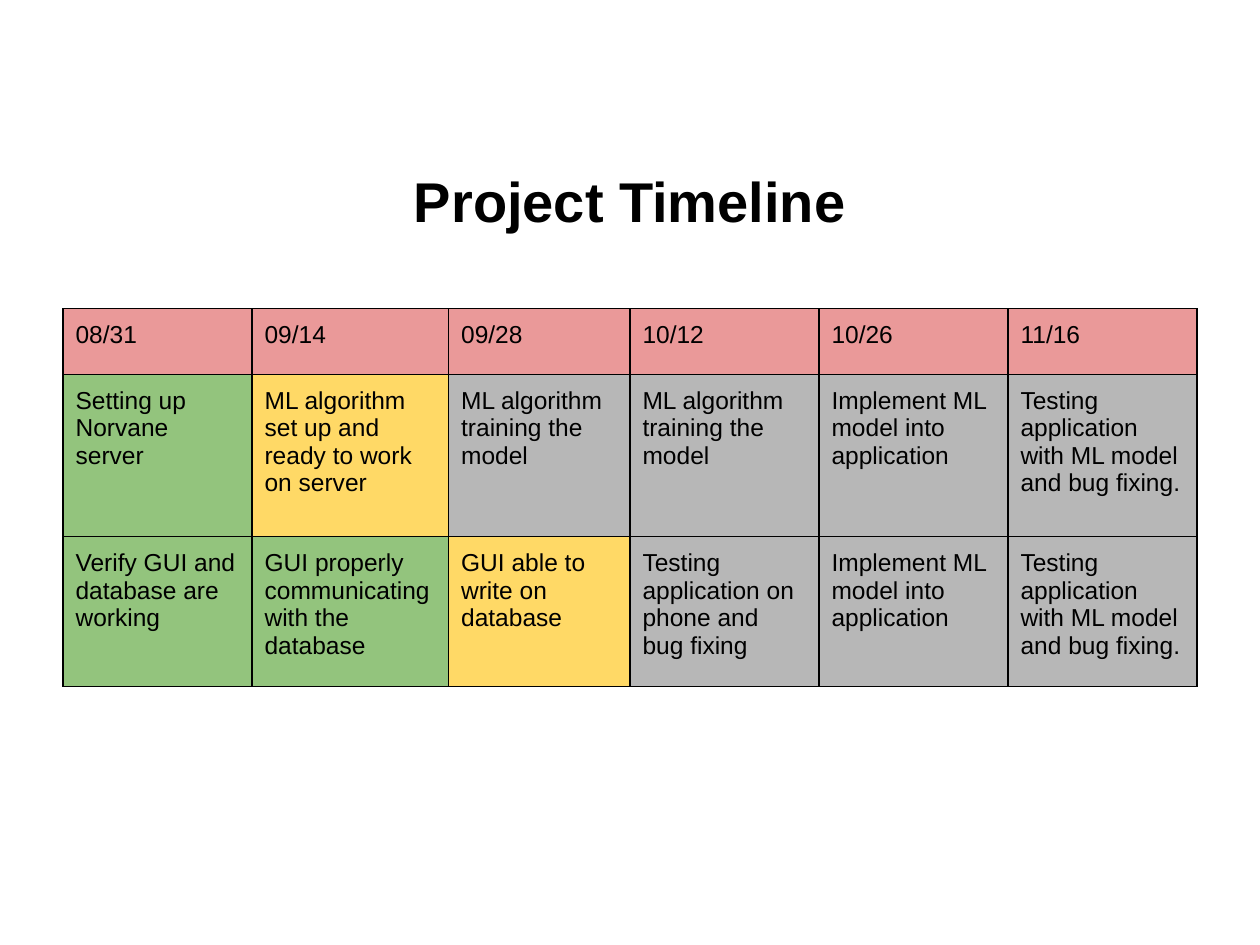
import pptx
import pptx.dml.color
import pptx.enum.text
import pptx.oxml
import pptx.oxml.ns
import pptx.util
from pptx.util import Inches

COLORS = {
    "text": "000000",
    "border": "000000",
    "date": "EA9999",
    "done": "93C47D",
    "active": "FFD966",
    "planned": "B7B7B7",
}
COLUMN_WIDTHS = [1.5, 1.56, 1.44, 1.5, 1.5, 1.5]
ROW_HEIGHTS = [0.52, 1.29, 1.19]

DATES = ["08/31", "09/14", "09/28", "10/12", "10/26", "11/16"]
TRAINING = "ML algorithm training the model"
INTEGRATION = ("Implement ML model into application", "planned")
FINAL_TEST = ("Testing application with ML model and bug fixing.", "planned")
TIMELINE = [
    [(date, "date") for date in DATES],
    [
        ("Setting up Norvane server", "done"),
        ("ML algorithm set up and ready to work on server", "active"),
        (TRAINING, "planned"),
        (TRAINING, "planned"),
        INTEGRATION,
        FINAL_TEST,
    ],
    [
        ("Verify GUI and database are working", "done"),
        ("GUI properly communicating with the database", "done"),
        ("GUI able to write on database", "active"),
        ("Testing application on phone and bug fixing", "planned"),
        INTEGRATION,
        FINAL_TEST,
    ],
]


def format_text(frame, size, bold=False):
    """Apply the slide's font to all the text in a frame."""
    for para in frame.paragraphs:
        for span in para.runs:
            span.font.name = "Arial"
            span.font.size = pptx.util.Pt(size)
            span.font.bold = bold
            span.font.color.rgb = pptx.dml.color.RGBColor.from_string(COLORS["text"])


def style_cell(cell, fill):
    """Give a cell its margins, thin borders and fill."""
    cell.margin_left = cell.margin_right = Inches(0.1)
    cell.margin_top = cell.margin_bottom = Inches(0.1)
    properties = cell._tc.get_or_add_tcPr()
    for side in ("lnL", "lnR", "lnT", "lnB"):
        properties.append(pptx.oxml.parse_xml(
            f'<a:{side} {pptx.oxml.ns.nsdecls("a")} w="{pptx.util.Pt(0.75)}">'
            f'<a:solidFill><a:srgbClr val="{COLORS["border"]}"/></a:solidFill>'
            f'</a:{side}>'
        ))
    cell.fill.solid()
    cell.fill.fore_color.rgb = pptx.dml.color.RGBColor.from_string(COLORS[fill])


deck = pptx.Presentation()
deck.slide_width, deck.slide_height = Inches(10), Inches(7.5)
page = deck.slides.add_slide(deck.slide_layouts[5])

# Title
title = page.shapes.title
title.left, title.top = Inches(0.5), Inches(1.15)
title.width, title.height = Inches(9), Inches(0.88)
title.text_frame.text = "Project Timeline"
title.text_frame.vertical_anchor = pptx.enum.text.MSO_ANCHOR.MIDDLE
title.text_frame.paragraphs[0].alignment = pptx.enum.text.PP_ALIGN.CENTER
format_text(title.text_frame, 32, bold=True)

# Timeline table
table = page.shapes.add_table(
    len(ROW_HEIGHTS), len(COLUMN_WIDTHS), Inches(0.5), Inches(2.45),
    Inches(sum(COLUMN_WIDTHS)), Inches(sum(ROW_HEIGHTS)),
).table
table.first_row = table.horz_banding = False
for column, width in zip(table.columns, COLUMN_WIDTHS):
    column.width = Inches(width)
for row, height, entries in zip(table.rows, ROW_HEIGHTS, TIMELINE):
    row.height = Inches(height)
    for cell, (text, status) in zip(row.cells, entries):
        cell.text_frame.text = text
        format_text(cell.text_frame, 14)
        style_cell(cell, status)

deck.save("out.pptx")
